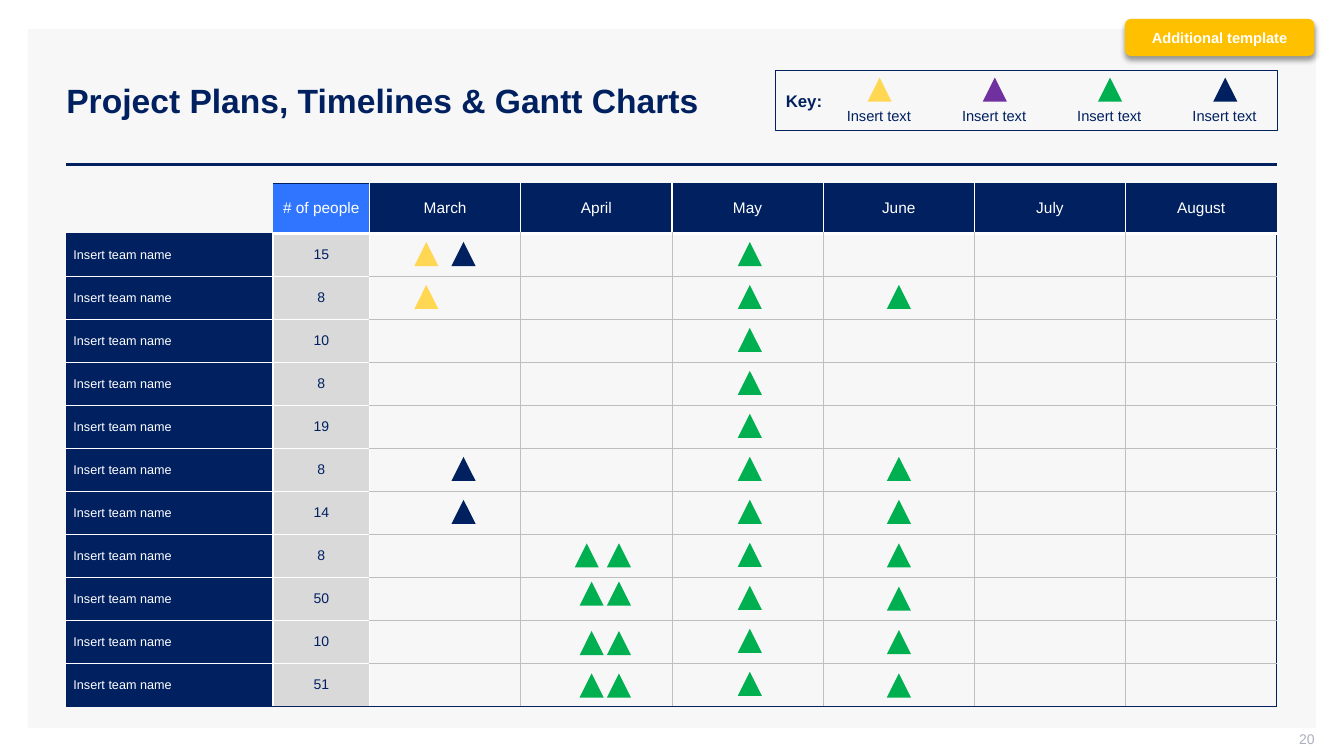
from lxml import etree
from pptx import Presentation
from pptx.dml.color import RGBColor
from pptx.enum.shapes import MSO_CONNECTOR, MSO_SHAPE
from pptx.enum.text import MSO_ANCHOR as ANCHOR, PP_ALIGN as ALIGN
from pptx.oxml import parse_xml
from pptx.oxml.ns import nsdecls, qn
from pptx.util import Pt

COLORS = {
    "panel": "F7F7F7", "navy": "002060", "blue": "3075FF", "grey": "D9D9D9",
    "grid": "BFBFBF", "white": "FFFFFF", "yellow": "FFD752", "purple": "7030A0",
    "green": "00B050", "amber": "FFC000", "number": "ADAFBB",
}
MONTHS = ["March", "April", "May", "June", "July", "August"]
PEOPLE = [15, 8, 10, 8, 19, 8, 14, 8, 50, 10, 51]
KEY = ["yellow", "purple", "green", "navy"]
COLS = [147.5, 69] + [108] * len(MONTHS)
HEAD_H, ROW_H, MARK = 35.8, 30.7, 17.2
MILESTONES = [
    (248.4, "yellow", {0: 0, 1: 0}),
    (275, "navy", {0: 0, 5: 0, 6: 0}),
    (363, "green", {7: 0.4}),
    (366.5, "green", {8: -3, 9: 1.6, 10: 1.2}),
    (386, "green", {7: 0.4, 8: -3, 9: 1.6, 10: 1.2}),
    (479.5, "green", dict.fromkeys(range(11), 0)),
    (586, "green", {1: 0, 5: 0, 6: 0, 7: 0.4, 8: 0.6, 9: 0.9, 10: 1.2}),
]


def rgb(name):
    """Return the named colour."""
    return RGBColor.from_string(COLORS[name])


def write(tf, text, size, color, align=ALIGN.LEFT, bold=False, anchor=ANCHOR.MIDDLE):
    """Fill a text frame or cell frame with one formatted run."""
    tf.word_wrap = True
    tf.vertical_anchor = anchor
    p = tf.paragraphs[0]
    p.alignment = align
    r = p.add_run()
    r.text = text
    r.font.name, r.font.size, r.font.bold = "Arial", Pt(size), bold
    r.font.color.rgb = rgb(color)


def add_text(s, box, *args, **kwargs):
    """Add a text box and return its frame."""
    tf = s.shapes.add_textbox(*map(Pt, box)).text_frame
    write(tf, *args, **kwargs)
    return tf


def add_block(s, kind, box, fill=None, line=None):
    """Add a preset shape without shadow."""
    sp = s.shapes.add_shape(kind, *map(Pt, box))
    sp.shadow.inherit = False
    if fill:
        sp.fill.solid()
        sp.fill.fore_color.rgb = rgb(fill)
    else:
        sp.fill.background()
    if line:
        sp.line.color.rgb = rgb(line)
        sp.line.width = Pt(0.75)
    else:
        sp.line.fill.background()
    return sp


def add_marker(s, x, y, color):
    """Add one milestone triangle."""
    add_block(s, MSO_SHAPE.ISOSCELES_TRIANGLE, (x, y, MARK, MARK), color)


def add_frame(s, x, y, w, h):
    """Place the panel, title, rule and slide number."""
    panel = add_block(s, MSO_SHAPE.RECTANGLE, (x, y, w, h), "panel")
    s.shapes.element.insert(2, panel.element)
    title = s.shapes.title
    title.left, title.top, title.width, title.height = map(Pt, (x + 20.2, y + 7.9, 872, 85.7))
    write(title.text_frame, "Project Plans, Timelines & Gantt Charts", 24, "navy", bold=True)
    ends = (x + 27.5, y + 96.5, x + 892, y + 96.5)
    rule = s.shapes.add_connector(MSO_CONNECTOR.STRAIGHT, *map(Pt, ends))
    rule.line.color.rgb = rgb("navy")
    rule.line.width = Pt(2)
    etree.SubElement(rule.element.spPr, qn("a:effectLst"))
    tf = add_text(s, (x + w - 217, y + h + 2.2, 216, 15.1), "20", 10, "number", ALIGN.RIGHT)
    tf.margin_top = tf.margin_right = 0


def add_key(s, x, y, w, h):
    """Draw the legend box with its four markers."""
    box = add_block(s, MSO_SHAPE.RECTANGLE, (x, y, w, h), line="navy")
    write(box.text_frame, "Key:", 12, "navy", bold=True)
    for i, color in enumerate(KEY):
        left = x + 40.5 + i * 82.3
        add_marker(s, left + 25, y + 5, color)
        add_text(s, (left, y + 22.3, 66.2, 20.2), "Insert text", 10.5, "navy",
                 ALIGN.CENTER, anchor=ANCHOR.TOP)


def column_edge(row, edge):
    """Return colour and width of a vertical grid line."""
    if edge == len(COLS):
        return "navy", 0.75
    if row == 0:
        return ("white", 1) if edge > 1 else None
    if edge == 0:
        return "navy", 0.75
    return ("white", 1) if edge < 3 else ("grid", 0.75)


def row_edge(edge, col):
    """Return colour and width of a horizontal grid line."""
    if edge < 2 and col == 0:
        return None
    if edge in (0, len(PEOPLE) + 1):
        return "navy", 0.75
    if edge == 1:
        return "white", 3
    return ("white", 1) if col < 2 else ("grid", 0.75)


def set_borders(cell, row, col):
    """Draw the four sides of a table cell."""
    sides = {"L": column_edge(row, col), "R": column_edge(row, col + 1),
             "T": row_edge(row, col), "B": row_edge(row + 1, col)}
    tc_pr = cell._tc.get_or_add_tcPr()
    for side, edge in sides.items():
        color, width = edge or (None, 0)
        fill = f'<a:solidFill><a:srgbClr val="{COLORS[color]}"/></a:solidFill>' if edge else "<a:noFill/>"
        tc_pr.append(parse_xml(f'<a:ln{side} {nsdecls("a")} w="{Pt(width)}">{fill}</a:ln{side}>'))


def fill_cell(cell, row, col):
    """Set the fill and text of a table cell."""
    cell.margin_left = cell.margin_right = Pt(5)
    cell.margin_top = cell.margin_bottom = 0
    cell.vertical_anchor = ANCHOR.MIDDLE
    if row == 0 and col > 0:
        text, size, color, fill = (["# of people"] + MONTHS)[col - 1], 11, "white", "blue" if col == 1 else "navy"
    elif row > 0 and col == 0:
        text, size, color, fill = "Insert team name", 9, "white", "navy"
    elif row > 0 and col == 1:
        text, size, color, fill = str(PEOPLE[row - 1]), 10, "navy", "grey"
    else:
        cell.fill.background()
        return
    cell.fill.solid()
    cell.fill.fore_color.rgb = rgb(fill)
    p = cell.text_frame.paragraphs[0]
    p.alignment = ALIGN.CENTER if col else ALIGN.LEFT
    r = p.add_run()
    r.text = text
    r.font.name, r.font.size, r.font.bold = "Arial", Pt(size), False
    r.font.color.rgb = rgb(color)


def add_plan(s, x, y):
    """Build the team timetable and its milestones."""
    rows = len(PEOPLE) + 1
    size = (sum(COLS), HEAD_H + ROW_H * len(PEOPLE))
    table = s.shapes.add_table(rows, len(COLS), *map(Pt, (x, y, *size))).table
    table.first_row = table.horz_banding = False
    for col, width in enumerate(COLS):
        table.columns[col].width = Pt(width)
    for row in range(rows):
        table.rows[row].height = Pt(ROW_H if row else HEAD_H)
        for col in range(len(COLS)):
            cell = table.cell(row, col)
            set_borders(cell, row, col)
            fill_cell(cell, row, col)
    for left, color, teams in MILESTONES:
        for team, shift in teams.items():
            add_marker(s, x + left, y + HEAD_H + team * ROW_H + 6 + shift, color)


def add_badge(s, x, y, w, h):
    """Place the shadowed template badge."""
    sp = add_block(s, MSO_SHAPE.ROUNDED_RECTANGLE, (x, y, w, h), "amber")
    write(sp.text_frame, "Additional template", 10.5, "white", ALIGN.CENTER, True)
    sp.element.spPr.find(qn("a:effectLst")).append(parse_xml(
        f'<a:outerShdw {nsdecls("a")} blurRad="{Pt(4)}" dist="{Pt(3)}" dir="5400000" rotWithShape="0">'
        '<a:srgbClr val="000000"><a:alpha val="40000"/></a:srgbClr></a:outerShdw>'))


def main():
    """Build and save the slide."""
    prs = Presentation()
    prs.slide_width, prs.slide_height = Pt(960), Pt(540)
    s = prs.slides.add_slide(prs.slide_layouts[5])
    add_frame(s, 20, 20.9, 920, 499)
    add_key(s, 554.2, 50.4, 358.6, 43.2)
    add_plan(s, 47.5, 131)
    add_badge(s, 803.5, 13.5, 135.4, 26.6)
    prs.save("out.pptx")


if __name__ == "__main__":
    main()
